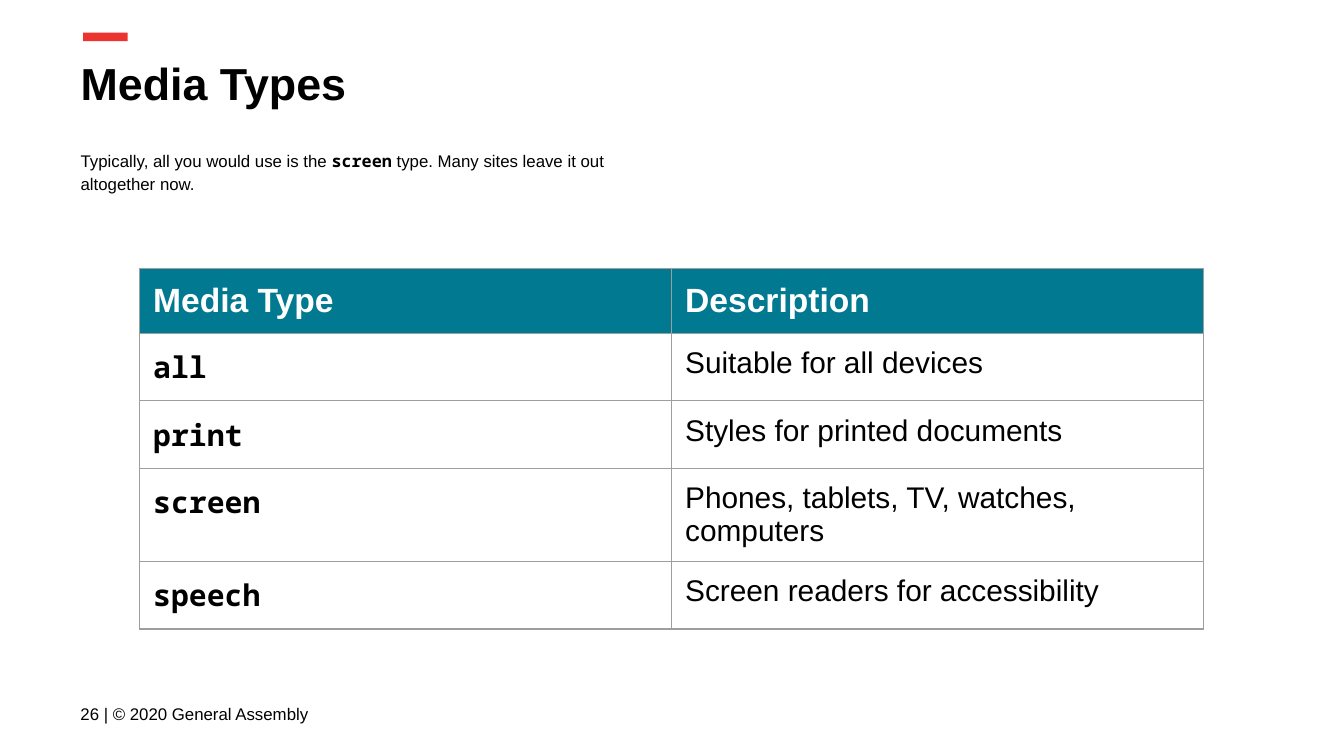
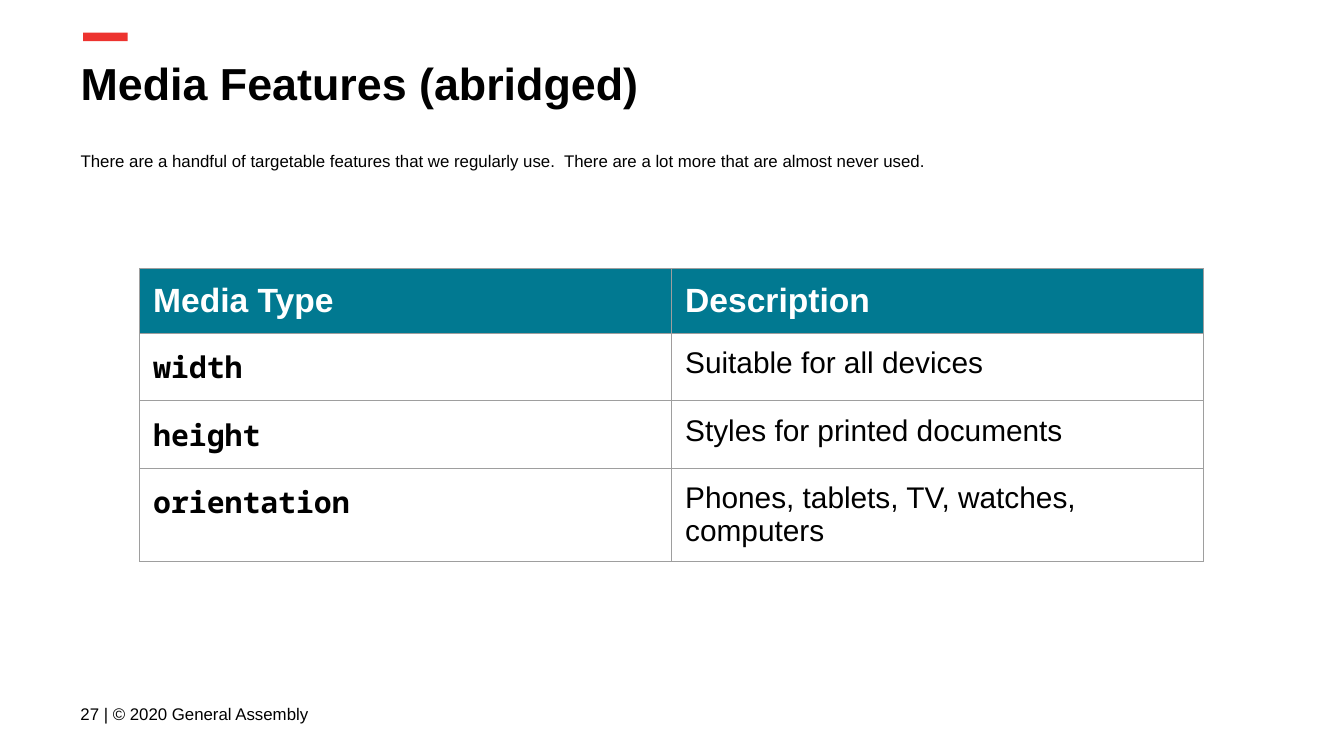
from lxml.etree import SubElement
from pptx import Presentation
from pptx.dml.color import RGBColor
from pptx.enum.shapes import MSO_SHAPE
from pptx.enum.text import MSO_ANCHOR, MSO_AUTO_SIZE, PP_ALIGN
from pptx.oxml.ns import qn
from pptx.util import Pt

# Shared style
BLACK = RGBColor(0x00, 0x00, 0x00)
WHITE = RGBColor(0xFF, 0xFF, 0xFF)
RED = RGBColor(0xED, 0x33, 0x2F)
TEAL = RGBColor(0x01, 0x79, 0x91)
GRAY = RGBColor(0x9E, 0x9E, 0x9E)
SANS = "Arial"
MONO = "Noto Sans Mono"
INSET = Pt(7.2)
BORDER = Pt(0.75)

# Regions: left, top, width, height
ACCENT_BOX = (Pt(44.6), Pt(17.5), Pt(23.8), Pt(4.5))
TITLE_BOX = (Pt(36), Pt(22.5), Pt(671), Pt(45))
BODY_BOX = (Pt(36), Pt(72), Pt(647), Pt(72))
FOOTER_BOX = (Pt(36), Pt(367), Pt(186.5), Pt(31))
TABLE_BOX = (Pt(74.9), Pt(144), Pt(570), Pt(30))  # height of one row

HEADER = ("Media Type", "Description")
DESCRIPTIONS = (
    "Suitable for all devices",
    "Styles for printed documents",
    "Phones, tablets, TV, watches, computers",
    "Screen readers for accessibility",
)


def add_span(para, text, size, font=SANS, color=BLACK, bold=False):
    span = para.add_run()
    span.text = text
    span.font.name = font
    span.font.size = Pt(size)
    span.font.bold = bold
    span.font.color.rgb = color


def prepare_frame(shape, box, anchor=MSO_ANCHOR.TOP):
    """Place a text shape and return its first paragraph, ready for runs."""
    shape.left, shape.top, shape.width, shape.height = box
    frame = shape.text_frame
    frame.word_wrap = True
    frame.auto_size = MSO_AUTO_SIZE.NONE
    frame.vertical_anchor = anchor
    frame.margin_left = frame.margin_right = INSET
    frame.margin_top = frame.margin_bottom = INSET
    para = frame.paragraphs[0]
    para.alignment = PP_ALIGN.LEFT
    return para


def add_accent(page, box):
    bar = page.shapes.add_shape(MSO_SHAPE.RECTANGLE, *box)
    bar.shadow.inherit = False
    bar.fill.solid()
    bar.fill.fore_color.rgb = RED
    bar.line.fill.background()


def fill_title(page, box, text):
    add_span(prepare_frame(page.shapes.title, box), text, 24, bold=True)


def fill_body(page, box, lines):
    """Write the lines of (text, is_code) pieces as one unbulleted paragraph."""
    para = prepare_frame(page.placeholders[1], box)
    properties = para._p.get_or_add_pPr()
    properties.set("marL", "0")
    properties.set("indent", "0")
    SubElement(properties, qn("a:buNone"))
    para.line_spacing = 1.15
    para.space_before = Pt(0)
    for index, pieces in enumerate(lines):
        if index:
            para.add_line_break()
        for text, is_code in pieces:
            add_span(para, text, 9, MONO if is_code else SANS, bold=is_code)


def add_footer(page, box, number):
    note = page.shapes.add_textbox(*box)
    para = prepare_frame(note, box, MSO_ANCHOR.MIDDLE)
    add_span(para, f"{number} | © 2020 General Assembly", 9)


def add_borders(cell):
    properties = cell._tc.get_or_add_tcPr()
    for side in ("a:lnL", "a:lnR", "a:lnT", "a:lnB"):
        line = SubElement(properties, qn(side), w=str(int(BORDER)))
        fill = SubElement(line, qn("a:solidFill"))
        SubElement(fill, qn("a:srgbClr"), val=str(GRAY))


def fill_cell(cell, text, is_header, is_code):
    cell.margin_left = cell.margin_right = INSET
    cell.margin_top = cell.margin_bottom = INSET
    add_borders(cell)
    para = cell.text_frame.paragraphs[0]
    if is_header:
        cell.fill.solid()
        cell.fill.fore_color.rgb = TEAL
        add_span(para, text, 18, color=WHITE, bold=True)
    else:
        cell.fill.background()
        add_span(para, text, 16, MONO if is_code else SANS, bold=is_code)


def add_media_table(page, box, names):
    left, top, width, row_height = box
    rows = [HEADER, *zip(names, DESCRIPTIONS)]
    frame = page.shapes.add_table(
        len(rows), len(HEADER), left, top, width, row_height * len(rows))
    table = frame.table
    table.first_row = table.horz_banding = False
    for row_index, row in enumerate(rows):
        for column_index, text in enumerate(row):
            fill_cell(table.cell(row_index, column_index), text,
                      is_header=row_index == 0, is_code=column_index == 0)


def add_media_page(deck, number, title, lines, names):
    page = deck.slides.add_slide(deck.slide_layouts[1])
    add_accent(page, ACCENT_BOX)
    fill_title(page, TITLE_BOX, title)
    fill_body(page, BODY_BOX, lines)
    add_footer(page, FOOTER_BOX, number)
    add_media_table(page, TABLE_BOX, names)


def main():
    deck = Presentation()
    deck.slide_width, deck.slide_height = Pt(720), Pt(405)

    # Media types
    add_media_page(
        deck, 26, "Media Types",
        [[("Typically, all you would use is the ", False),
          ("screen", True),
          (" type. Many sites leave it out ", False)],
         [("altogether now.", False)]],
        ("all", "print", "screen", "speech"))

    # Media features
    add_media_page(
        deck, 27, "Media Features (abridged)",
        [[("There are a handful of targetable features that we regularly use.  "
           "There are a lot more that are almost never used.", False)]],
        ("width", "height", "orientation"))

    deck.save("out.pptx")


if __name__ == "__main__":
    main()
